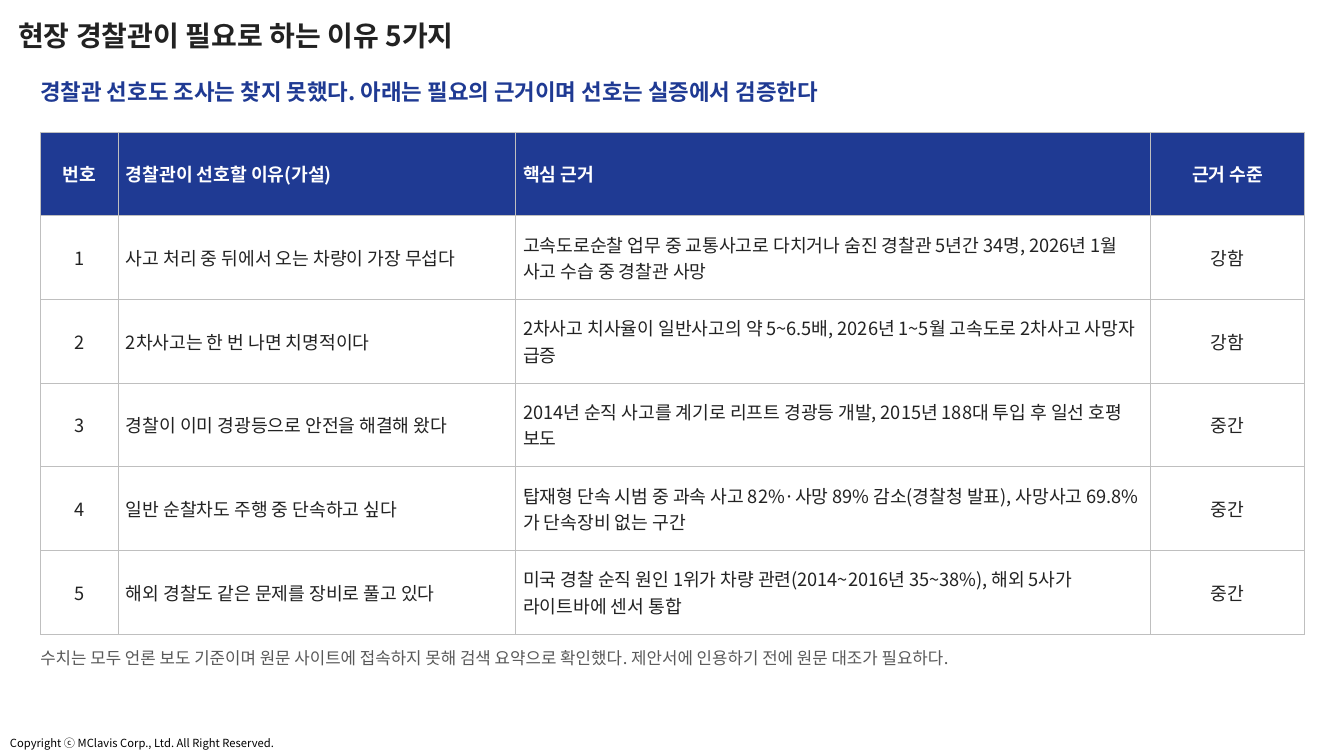
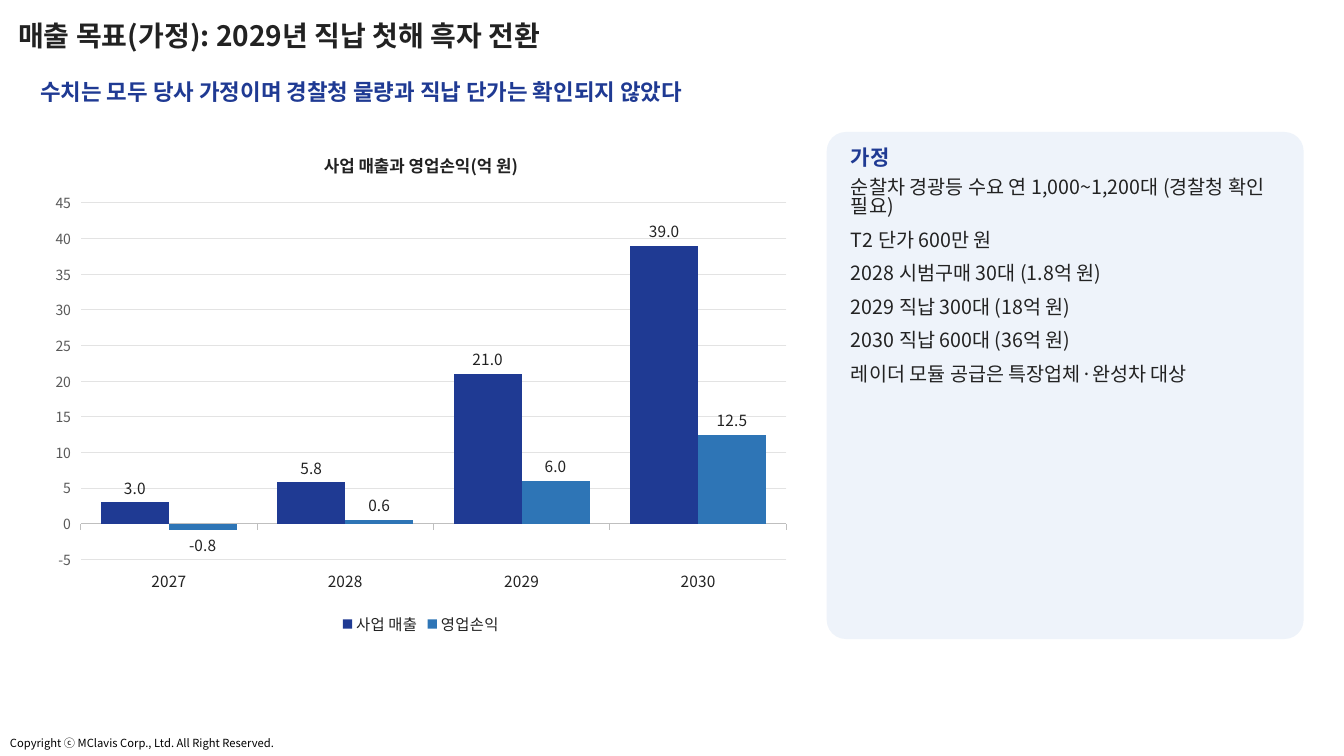
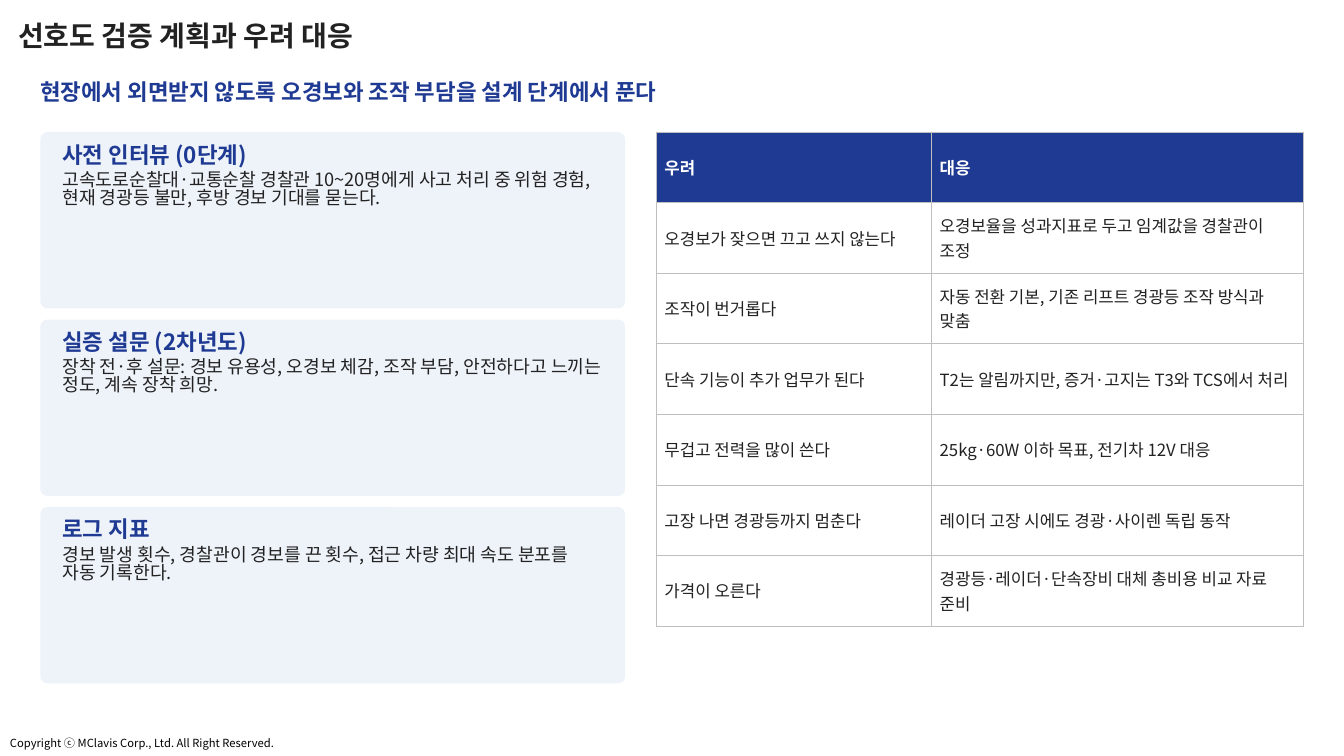
from lxml.etree import SubElement
from pptx import Presentation
from pptx.chart.data import CategoryChartData
from pptx.dml.color import RGBColor
from pptx.enum.chart import XL_CHART_TYPE, XL_LABEL_POSITION, XL_LEGEND_POSITION, XL_TICK_LABEL_POSITION, XL_TICK_MARK
from pptx.enum.shapes import MSO_SHAPE
from pptx.enum.text import MSO_ANCHOR, MSO_AUTO_SIZE, PP_ALIGN
from pptx.oxml.ns import qn
from pptx.util import Inches, Pt

FONT = "Noto Sans CJK KR"
HEX = {
    "navy": "1F3A93",
    "blue": "2E75B6",
    "pale": "EEF3FA",
    "ink": "222222",
    "gray": "595959",
    "border": "BFBFBF",
    "grid": "E3E3E3",
    "white": "FFFFFF",
    "black": "000000",
}
COLORS = {name: RGBColor.from_string(value) for name, value in HEX.items()}
MARGIN = 0.4
TOP = 1.31
FULL_WIDTH = 12.53
TIGHT = 0.83


def write(frame, lines, spacing=None, align=PP_ALIGN.LEFT):
    for index, (text, size, color, bold, after) in enumerate(lines):
        paragraph = frame.add_paragraph() if index else frame.paragraphs[0]
        paragraph.text = text
        paragraph.alignment = align
        paragraph.line_spacing = spacing
        paragraph.space_after = Pt(after)
        font = paragraph.font
        font.name = FONT
        font.size = Pt(size)
        font.bold = bold
        font.color.rgb = COLORS[color]
        SubElement(font._element, qn("a:ea"), typeface=FONT)


def add_grid(page, left, widths, row_height, size, rows, centered=()):
    table = page.shapes.add_table(
        len(rows), len(widths), Inches(left), Inches(TOP),
        Inches(sum(widths)), Inches(row_height * len(rows))).table
    table.first_row = False
    table.horz_banding = False
    for column, width in zip(table.columns, widths):
        column.width = Inches(width)
    for row_index, texts in enumerate(rows):
        table.rows[row_index].height = Inches(row_height)
        header = row_index == 0
        for column_index, text in enumerate(texts):
            cell = table.cell(row_index, column_index)
            cell.vertical_anchor = MSO_ANCHOR.MIDDLE
            cell.margin_left = cell.margin_right = Inches(0.08)
            cell.margin_top = cell.margin_bottom = Inches(0.04)
            for side in ("lnL", "lnR", "lnT", "lnB"):
                line = SubElement(cell._tc.get_or_add_tcPr(), qn(f"a:{side}"), w=str(Pt(0.5)))
                fill = SubElement(line, qn("a:solidFill"))
                SubElement(fill, qn("a:srgbClr"), val=HEX["border"])
            cell.fill.solid()
            cell.fill.fore_color.rgb = COLORS["navy" if header else "white"]
            align = PP_ALIGN.CENTER if column_index in centered else PP_ALIGN.LEFT
            write(cell.text_frame, [(text, size, "white" if header else "ink", header, 0)], align=align)


deck = Presentation()
deck.slide_width = Inches(13.33)
deck.slide_height = Inches(7.5)
layout = deck.slide_layouts[5]
layout_title = layout.placeholders[0]
layout_title.left, layout_title.top = Inches(0.08), Inches(0.18)
layout_title.width, layout_title.height = Inches(11.5), Inches(0.39)

headings = [
    ("현장 경찰관이 필요로 하는 이유 5가지",
     "경찰관 선호도 조사는 찾지 못했다. 아래는 필요의 근거이며 선호는 실증에서 검증한다"),
    ("매출 목표(가정): 2029년 직납 첫해 흑자 전환",
     "수치는 모두 당사 가정이며 경찰청 물량과 직납 단가는 확인되지 않았다"),
    ("선호도 검증 계획과 우려 대응",
     "현장에서 외면받지 않도록 오경보와 조작 부담을 설계 단계에서 푼다"),
]
pages = []
for title, message in headings:
    page = deck.slides.add_slide(layout)
    pages.append(page)
    frame = page.shapes.title.text_frame
    frame.auto_size = MSO_AUTO_SIZE.NONE
    frame.vertical_anchor = MSO_ANCHOR.MIDDLE
    write(frame, [(title, 20, "ink", True, 0)], 0.9)
reasons_page, sales_page, plan_page = pages

footer = reasons_page.shapes.add_textbox(0, Inches(7.26), Inches(2.83), Inches(0.24))
footer.text_frame.word_wrap = False
footer.text_frame.auto_size = MSO_AUTO_SIZE.SHAPE_TO_FIT_TEXT
write(footer.text_frame, [("Copyright ⓒ MClavis Corp., Ltd. All Right Reserved.", 8, "black", False, 0)])
layout.shapes.element.append(footer.element)

add_grid(reasons_page, MARGIN, [0.77, 3.94, 6.3, 1.53], 0.83, 13, [
    ("번호", "경찰관이 선호할 이유(가설)", "핵심 근거", "근거 수준"),
    ("1", "사고 처리 중 뒤에서 오는 차량이 가장 무섭다",
     "고속도로순찰 업무 중 교통사고로 다치거나 숨진 경찰관 5년간 34명, 2026년 1월 사고 수습 중 경찰관 사망", "강함"),
    ("2", "2차사고는 한 번 나면 치명적이다",
     "2차사고 치사율이 일반사고의 약 5~6.5배, 2026년 1~5월 고속도로 2차사고 사망자 급증", "강함"),
    ("3", "경찰이 이미 경광등으로 안전을 해결해 왔다",
     "2014년 순직 사고를 계기로 리프트 경광등 개발, 2015년 188대 투입 후 일선 호평 보도", "중간"),
    ("4", "일반 순찰차도 주행 중 단속하고 싶다",
     "탑재형 단속 시범 중 과속 사고 82%·사망 89% 감소(경찰청 발표), 사망사고 69.8%가 단속장비 없는 구간", "중간"),
    ("5", "해외 경찰도 같은 문제를 장비로 풀고 있다",
     "미국 경찰 순직 원인 1위가 차량 관련(2014~2016년 35~38%), 해외 5사가 라이트바에 센서 통합", "중간"),
], centered=(0, 3))

chart_data = CategoryChartData(number_format="0.0")
chart_data.categories = ["2027", "2028", "2029", "2030"]
chart_data.add_series("사업 매출", [3, 5.8, 21, 39])
chart_data.add_series("영업손익", [-0.8, 0.6, 6, 12.5])
chart = sales_page.shapes.add_chart(
    XL_CHART_TYPE.COLUMN_CLUSTERED, Inches(MARGIN), Inches(TOP), Inches(7.55), Inches(5.03), chart_data).chart
chart.font.name = FONT
chart.font.size = Pt(11)
chart.font.color.rgb = COLORS["ink"]
SubElement(chart.font._element, qn("a:ea"), typeface=FONT)
chart.has_title = True
write(chart.chart_title.text_frame, [("사업 매출과 영업손익(억 원)", 12, "ink", True, 0)], align=PP_ALIGN.CENTER)
chart.chart_title.include_in_layout = False
chart.has_legend = True
chart.legend.position = XL_LEGEND_POSITION.BOTTOM
chart.legend.include_in_layout = False

years = chart.category_axis
years.tick_label_position = XL_TICK_LABEL_POSITION.LOW
years.major_tick_mark = XL_TICK_MARK.OUTSIDE
years.tick_labels.font.size = Pt(11)
years.format.line.color.rgb = COLORS["border"]
years.format.line.width = Pt(0.75)
amounts = chart.value_axis
amounts.minimum_scale, amounts.maximum_scale, amounts.major_unit = -5, 45, 5
amounts.major_tick_mark = XL_TICK_MARK.OUTSIDE
amounts.tick_labels.font.size = Pt(10)
amounts.tick_labels.font.color.rgb = COLORS["gray"]
amounts.tick_labels.number_format = "General"
amounts.tick_labels.number_format_is_linked = False
amounts.format.line.fill.background()
amounts.major_gridlines.format.line.color.rgb = COLORS["grid"]
amounts.major_gridlines.format.line.width = Pt(0.75)

plot = chart.plots[0]
plot.gap_width = 60
plot.overlap = 0
plot.vary_by_categories = False
for series, color in zip(plot.series, ("navy", "blue")):
    series.invert_if_negative = False
    series.format.fill.solid()
    series.format.fill.fore_color.rgb = COLORS[color]
    labels = series.data_labels
    labels.show_value = True
    labels.position = XL_LABEL_POSITION.OUTSIDE_END
    labels.number_format = "0.0"
    labels.number_format_is_linked = False
    labels.font.size = Pt(11)
    labels.font.name = FONT
    labels.font.color.rgb = COLORS["ink"]

assumptions = [
    "순찰차 경광등 수요 연 1,000~1,200대 (경찰청 확인 필요)",
    "T2 단가 600만 원",
    "2028 시범구매 30대 (1.8억 원)",
    "2029 직납 300대 (18억 원)",
    "2030 직납 600대 (36억 원)",
    "레이더 모듈 공급은 특장업체·완성차 대상",
]
steps = [
    ("사전 인터뷰 (0단계)",
     "고속도로순찰대·교통순찰 경찰관 10~20명에게 사고 처리 중 위험 경험, 현재 경광등 불만, 후방 경보 기대를 묻는다."),
    ("실증 설문 (2차년도)",
     "장착 전·후 설문: 경보 유용성, 오경보 체감, 조작 부담, 안전하다고 느끼는 정도, 계속 장착 희망."),
    ("로그 지표",
     "경보 발생 횟수, 경찰관이 경보를 끈 횟수, 접근 차량 최대 속도 분포를 자동 기록한다."),
]
panels = [(sales_page, 8.2, TOP, 4.73, 5.03, 0.24, 0.17,
           [("가정", 15, "navy", True, 6)] + [(text, 14, "ink", False, 10) for text in assumptions])]
for index, (name, detail) in enumerate(steps):
    panels.append((plan_page, MARGIN, TOP + index * 1.86, 5.8, 1.75, 0.22, 0.13,
                   [(name, 16, "navy", True, 3), (detail, 13, "ink", False, 4)]))

texts = [(page, MARGIN, 0.7, FULL_WIDTH, 0.46, MSO_ANCHOR.MIDDLE, [(message, 16, "navy", True, 4)])
         for page, (title, message) in zip(pages, headings)]
texts.append((reasons_page, MARGIN, 6.46, FULL_WIDTH, 0.44, MSO_ANCHOR.TOP, [
    ("수치는 모두 언론 보도 기준이며 원문 사이트에 접속하지 못해 검색 요약으로 확인했다. "
     "제안서에 인용하기 전에 원문 대조가 필요하다.", 12, "gray", False, 4)]))
for page, left, top, width, height, inset_x, inset_y, lines in panels:
    panel = page.shapes.add_shape(
        MSO_SHAPE.ROUNDED_RECTANGLE, Inches(left), Inches(top), Inches(width), Inches(height))
    panel.adjustments[0] = 0.04
    panel.shadow.inherit = False
    panel.fill.solid()
    panel.fill.fore_color.rgb = COLORS["pale"]
    panel.line.fill.background()
    texts.append((page, left + inset_x, top + inset_y, width - 2 * inset_x, height - 2 * inset_y,
                  MSO_ANCHOR.TOP, lines))

for page, left, top, width, height, anchor, lines in texts:
    box = page.shapes.add_textbox(Inches(left), Inches(top), Inches(width), Inches(height))
    frame = box.text_frame
    frame.word_wrap = True
    frame.vertical_anchor = anchor
    frame.margin_left = frame.margin_right = frame.margin_top = frame.margin_bottom = 0
    write(frame, lines, TIGHT)

add_grid(plan_page, 6.51, [2.73, 3.69], 0.7, 12, [
    ("우려", "대응"),
    ("오경보가 잦으면 끄고 쓰지 않는다", "오경보율을 성과지표로 두고 임계값을 경찰관이 조정"),
    ("조작이 번거롭다", "자동 전환 기본, 기존 리프트 경광등 조작 방식과 맞춤"),
    ("단속 기능이 추가 업무가 된다", "T2는 알림까지만, 증거·고지는 T3와 TCS에서 처리"),
    ("무겁고 전력을 많이 쓴다", "25kg·60W 이하 목표, 전기차 12V 대응"),
    ("고장 나면 경광등까지 멈춘다", "레이더 고장 시에도 경광·사이렌 독립 동작"),
    ("가격이 오른다", "경광등·레이더·단속장비 대체 총비용 비교 자료 준비"),
])

deck.save("out.pptx")
